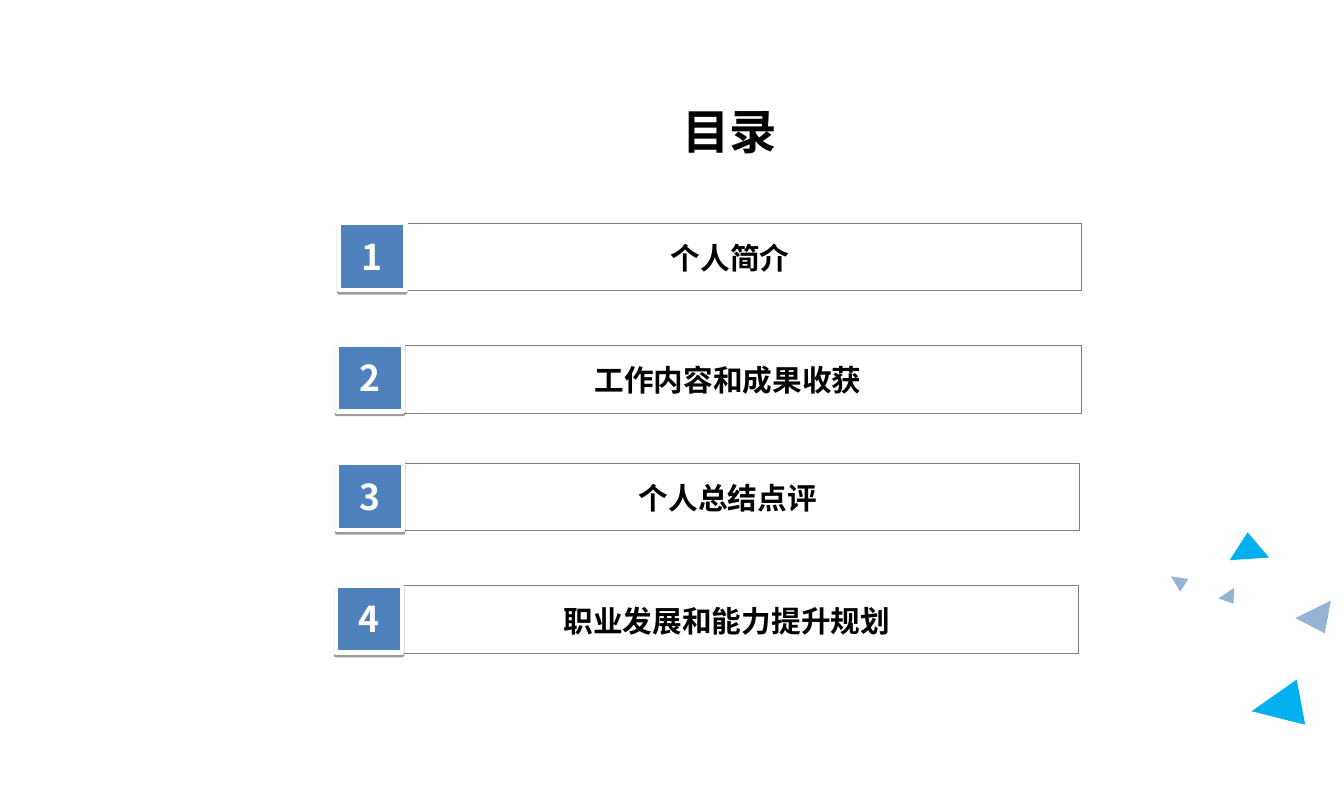
import dataclasses

import pptx
import pptx.dml.color
import pptx.enum.shapes
import pptx.enum.text
import pptx.oxml
import pptx.oxml.ns
import pptx.util

ALIGN = pptx.enum.text.PP_ALIGN
ANCHOR = pptx.enum.text.MSO_ANCHOR
SHAPE = pptx.enum.shapes.MSO_SHAPE
PX = pptx.util.Inches(1) // 100


@dataclasses.dataclass(frozen=True)
class Theme:
    font: str = "Noto Sans CJK SC"
    ink: str = "000000"
    white: str = "FFFFFF"
    frame: str = "7F7F7F"
    tile: str = "4F81BD"
    cyan: str = "00B0F0"
    mist: str = "95B3D7"
    title_size: int = 32
    number_size: int = 24
    label_size: int = 20


class AgendaSlide:
    def __init__(self, deck, theme):
        self.theme = theme
        self.page = deck.slides.add_slide(deck.slide_layouts[6])

    def shape(self, parent, kind, at, fill=None, line=None, rotation=0):
        """Add a preset shape; line is a (colour, points) pair."""
        shape = parent.add_shape(kind, *(PX * value for value in at))
        shape.shadow.inherit = False
        shape.rotation = rotation
        if fill:
            shape.fill.solid()
            shape.fill.fore_color.rgb = pptx.dml.color.RGBColor.from_string(fill)
        else:
            shape.fill.background()
        if line:
            colour, width = line
            shape.line.color.rgb = pptx.dml.color.RGBColor.from_string(colour)
            shape.line.width = pptx.util.Pt(width)
        else:
            shape.line.fill.background()
        return shape

    def drop_shadow(self, shape):
        """Put a sharp shadow just below the shape."""
        effects = shape._element.spPr.find(pptx.oxml.ns.qn("a:effectLst"))
        effects.append(pptx.oxml.parse_xml(
            f'<a:outerShdw {pptx.oxml.ns.nsdecls("a")} blurRad="0" '
            f'dist="{pptx.util.Pt(1.6)}" dir="5400000" algn="t" rotWithShape="0">'
            f'<a:srgbClr val="{self.theme.ink}"><a:alpha val="38000"/></a:srgbClr>'
            '</a:outerShdw>'))

    def text(self, parent, at, words, size, colour, align=ALIGN.LEFT,
             anchor=ANCHOR.TOP, wrap=True, font=None):
        box = parent.add_textbox(*(PX * value for value in at))
        box.text_frame.word_wrap = wrap
        box.text_frame.vertical_anchor = anchor
        para = box.text_frame.paragraphs[0]
        para.alignment = align
        span = para.add_run()
        span.text = words
        span.font.size = pptx.util.Pt(size)
        span.font.bold = True
        span.font.name = font or self.theme.font
        span.font.color.rgb = pptx.dml.color.RGBColor.from_string(colour)
        latin = span._r.rPr.find(pptx.oxml.ns.qn("a:latin"))
        latin.addnext(pptx.oxml.parse_xml(
            f'<a:ea {pptx.oxml.ns.nsdecls("a")} typeface="{self.theme.font}"/>'))

    def entry(self, number, label, tile_at, bar_at, font=None):
        """Add one agenda row: frame, numbered tile and label."""
        theme = self.theme
        row = self.page.shapes.add_group_shape().shapes
        left, top = tile_at
        self.shape(row, SHAPE.RECTANGLE, (*bar_at, 696, 63), line=(theme.frame, 0.25))
        tile = self.shape(row, SHAPE.RECTANGLE, (left, top, 62, 63),
                          theme.tile, (theme.white, 3))
        self.drop_shadow(tile)
        self.text(row, (left + 11, top + 6, 39, 50), str(number),
                  theme.number_size, theme.white, wrap=False)
        self.text(row, (left + 101, top + 11, 531, 44), label,
                  theme.label_size, theme.ink, ALIGN.CENTER, font=font)

    def triangle(self, at, colour, rotation):
        self.shape(self.page.shapes, SHAPE.ISOSCELES_TRIANGLE, at, colour,
                   rotation=rotation)


def main():
    deck = pptx.Presentation()
    deck.slide_width, deck.slide_height = PX * 1260, PX * 750
    theme = Theme()
    agenda = AgendaSlide(deck, theme)

    agenda.text(agenda.page.shapes, (630, 87, 208, 71), "目录",
                theme.title_size, theme.ink, anchor=ANCHOR.MIDDLE)

    triangles = [
        ((1218, 570, 37, 25), theme.mist, 153.9),
        ((1175, 639, 43, 47), theme.cyan, 259.5),
        ((1152, 499, 37, 25), theme.cyan, 356.2),
        ((1097, 537, 14, 15), theme.mist, 303.5),
        ((1144, 555, 18, 12), theme.mist, 145.8),
    ]
    for triangle in triangles:
        agenda.triangle(*triangle)

    entries = [
        ("个人简介", (318, 209), (318, 209)),
        ("工作内容和成果收获", (316, 323), (318, 324)),
        ("个人总结点评", (316, 434), (316, 434)),
        ("职业发展和能力提升规划", (315, 549), (315, 549), "Arial"),
    ]
    for number, entry in enumerate(entries, start=1):
        agenda.entry(number, *entry)

    deck.save("out.pptx")


if __name__ == "__main__":
    main()
